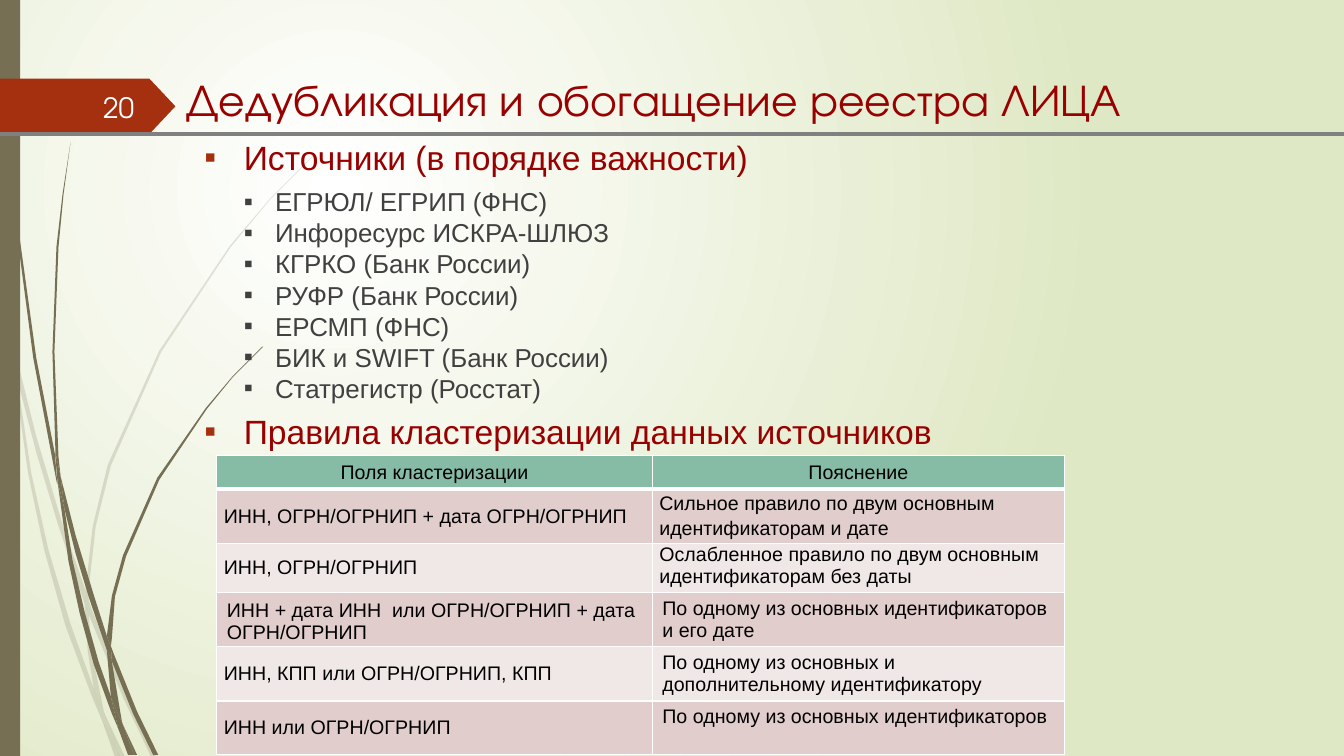
from lxml import etree
from pptx import Presentation
from pptx.dml.color import RGBColor
from pptx.enum.shapes import MSO_CONNECTOR, MSO_SHAPE
from pptx.enum.text import MSO_ANCHOR, PP_ALIGN
from pptx.oxml.ns import qn
from pptx.util import Inches, Pt

WHITE = RGBColor(0xFF, 0xFF, 0xFF)
BLACK = RGBColor(0x00, 0x00, 0x00)
PALE_GREEN = RGBColor(0xDF, 0xE8, 0xC4)
OLIVE = RGBColor(0x76, 0x6F, 0x54)
RUST = RGBColor(0xA5, 0x30, 0x10)
DARK_RED = RGBColor(0x99, 0x00, 0x00)
DARK_GREY = RGBColor(0x40, 0x40, 0x40)
GREY = RGBColor(0x80, 0x80, 0x80)
HEADER_GREEN = RGBColor(0x86, 0xBC, 0xA6)
PINK = RGBColor(0xE1, 0xCD, 0xCC)
PALE_PINK = RGBColor(0xF0, 0xE8, 0xE7)
HEADING_FONT, BODY_FONT = "TeX Gyre Adventor", "Arial"

# Outlines of the grass, piece by piece
FAINT_GRASS = [
    [(.11, 3.5), (.09, 3.22), (0, 2.82), (0, 2.99), (.1, 3.44)],
    [(.58, 5.22), (.84, 5.99), (.85, 5.86), (.62, 5.2), (.36, 4.33), (.14, 3.45), (.17, 3.76),
     (.36, 4.49)],
    [(.92, 6.07), (.88, 5.96), (.88, 6.1), (1.23, 6.94), (1.5, 7.51), (1.55, 7.51), (1.27, 6.92)],
    [(1.19, 7.51), (1.24, 7.51), (1.05, 7.11)],
    [(.93, 6.83), (.7, 6.19), (.48, 5.45), (.31, 4.69), (.17, 3.76), (.11, 3.5), (.28, 4.7),
     (.44, 5.46), (.65, 6.21), (.92, 6.93), (1.01, 7.14), (.99, 7.07)],
    [(.84, 5.99), (.87, 6.46), (.93, 6.83), (.96, 6.92), (1.05, 7.11), (1.03, 7.06), (.91, 6.46),
     (.88, 6.1), (.88, 6.08)],
    [(.88, 5.84), (.95, 5.22), (1.1, 4.62), (1.6, 3.49), (2.29, 2.45), (2.68, 1.98), (3.12, 1.54),
     (3.12, 1.53), (2.68, 1.97), (2.28, 2.44), (1.58, 3.48), (1.07, 4.61), (.92, 5.22),
     (.85, 5.84), (.85, 5.86), (.88, 5.96)],
    [(1.01, 7.14), (1.14, 7.51), (1.19, 7.51)],
    [(.88, 6.08), (.88, 6.1), (.88, 5.96), (.85, 5.86), (.84, 5.99)],
    [(.96, 6.92), (.93, 6.83), (.99, 7.07), (1.01, 7.14), (1.19, 7.51), (1.05, 7.11)],
]
SOLID_GRASS = [
    [(.07, 1.1), (.17, 2.33), (.33, 3.55), (.56, 4.77), (.57, 4.81), (.55, 4.57), (.55, 4.53),
     (.36, 3.55), (.19, 2.32), (.08, 1.09), (.05, .48), (.04, 0), (.03, 0), (.04, .48)],
    [(.88, 5.92), (1.06, 6.45), (1.06, 6.33), (1.06, 6.31), (.93, 5.9), (.75, 5.31), (.6, 4.72),
     (.64, 5.05), (.75, 5.49)],
    [(1.13, 6.49), (1.1, 6.41), (1.11, 6.56), (1.32, 7.08), (1.52, 7.49), (1.57, 7.49),
     (1.36, 7.06)],
    [(1.1, 6.91), (.98, 6.57), (.84, 6.07), (.72, 5.56), (.64, 5.05), (.57, 4.77), (.68, 5.57),
     (.79, 6.08), (.93, 6.59), (1.11, 7.08), (1.17, 7.22), (1.16, 7.17)],
    [(.6, 4.72), (.58, 4.53), (.54, 3.49), (.58, 2.45), (.63, 1.93), (.7, 1.41), (.62, 1.93),
     (.56, 2.45), (.52, 3.49), (.55, 4.49)],
    [(1.33, 7.49), (1.36, 7.49), (1.22, 7.19)],
    [(.57, 4.77), (.64, 5.05), (.6, 4.72), (.55, 4.49), (.55, 4.53)],
    [(1.11, 6.33), (1.14, 5.92), (1.25, 5.52), (1.58, 4.76), (2.05, 4.06), (2.31, 3.74),
     (2.61, 3.44), (2.6, 3.44), (2.31, 3.73), (2.04, 4.05), (1.56, 4.74), (1.22, 5.51),
     (1.11, 5.91), (1.06, 6.31), (1.1, 6.41)],
    [(1.17, 7.22), (1.27, 7.49), (1.31, 7.49)],
    [(1.06, 6.45), (1.1, 6.91), (1.16, 7.06), (1.22, 7.19), (1.21, 7.16), (1.11, 6.56),
     (1.09, 6.51)],
    [(1.06, 6.45), (1.09, 6.51), (1.11, 6.56), (1.1, 6.41), (1.06, 6.31), (1.06, 6.33)],
    [(1.16, 7.06), (1.1, 6.91), (1.16, 7.17), (1.17, 7.22), (1.3, 7.49), (1.33, 7.49),
     (1.22, 7.19)],
]

SOURCES = ["ЕГРЮЛ/ ЕГРИП (ФНС)", "Инфоресурс ИСКРА-ШЛЮЗ", "КГРКО (Банк России)",
           "РУФР (Банк России)", "ЕРСМП (ФНС)", "БИК и SWIFT (Банк России)",
           "Статрегистр (Росстат)"]
RULES = [
    ("Поля кластеризации", "Пояснение"),
    ("ИНН, ОГРН/ОГРНИП + дата ОГРН/ОГРНИП",
     "Сильное правило по двум основным идентификаторам и дате"),
    ("ИНН, ОГРН/ОГРНИП", "Ослабленное правило по двум основным идентификаторам без даты"),
    ("ИНН + дата ИНН  или ОГРН/ОГРНИП + дата ОГРН/ОГРНИП",
     "По одному из основных идентификаторов и его дате"),
    ("ИНН, КПП или ОГРН/ОГРНИП, КПП", "По одному из основных и дополнительному идентификатору"),
    ("ИНН или ОГРН/ОГРНИП", "По одному из основных идентификаторов"),
]
ROW_HEIGHTS = [.32, .53, .49, .53, .53, .53]
TIGHT_CELLS = {(1, 0), (1, 1), (2, 0), (2, 1), (4, 0), (5, 0)}


def write(paragraph, text, size, color, font=BODY_FONT, align=PP_ALIGN.LEFT,
          line=None, before=0, after=0, bullet=None, left=0, hang=0):
    run = paragraph.add_run()
    run.text = text
    run.font.size, run.font.name, run.font.color.rgb = Pt(size), font, color
    paragraph.alignment, paragraph.line_spacing = align, line
    paragraph.space_before, paragraph.space_after = Pt(before), Pt(after)
    if bullet:
        props = paragraph._p.get_or_add_pPr()
        props.set("marL", str(Inches(left)))
        props.set("indent", str(-Inches(hang)))
        tint = etree.SubElement(props, qn("a:buClr"))
        etree.SubElement(tint, qn("a:srgbClr"), val=str(bullet))
        etree.SubElement(props, qn("a:buFont"), typeface=BODY_FONT)
        etree.SubElement(props, qn("a:buChar"), char="▪")


def paint(shape, color, opacity=100):
    shape.shadow.inherit = False
    shape.fill.solid()
    shape.fill.fore_color.rgb = color
    shape.line.fill.background()
    if opacity < 100:
        tint = shape._element.spPr.find(".//" + qn("a:srgbClr"))
        etree.SubElement(tint, qn("a:alpha"), val=str(opacity * 1000))


def add_backdrop(slide, height):
    # Radial glow centred in the upper left
    fill = slide.background.fill
    fill.gradient()
    for stop, color in zip(fill.gradient_stops, (WHITE, PALE_GREEN)):
        stop.color.rgb = color
    gradient = slide._element.find(".//" + qn("a:gradFill"))
    glow = etree.Element(qn("a:path"))
    glow.set("path", "circle")
    etree.SubElement(glow, qn("a:fillToRect"), l="50000", t="50000", r="100000", b="100000")
    gradient.replace(gradient.find(qn("a:lin")), glow)

    # Grass and side bar
    for grass, opacity in ((FAINT_GRASS, 20), (SOLID_GRASS, 100)):
        for outline in grass:
            start, *rest = [(Inches(x), Inches(y)) for x, y in outline]
            builder = slide.shapes.build_freeform(*start)
            builder.add_line_segments(rest)
            paint(builder.convert_to_shape(), OLIVE, opacity)
    paint(slide.shapes.add_shape(MSO_SHAPE.RECTANGLE, 0, 0, Inches(.2), Inches(height)), OLIVE)


def add_text_box(slide, left, top, width, height, anchor=MSO_ANCHOR.TOP):
    frame = slide.shapes.add_textbox(*map(Inches, (left, top, width, height))).text_frame
    frame.word_wrap, frame.vertical_anchor = True, anchor
    return frame


def add_heading(slide, left, top, width, height):
    # Page number tag
    tag = slide.shapes.add_shape(MSO_SHAPE.PENTAGON, 0, Inches(top + .06),
                                 Inches(left - .01), Inches(.55))
    tag.adjustments[0] = .47
    paint(tag, RUST)
    number = add_text_box(slide, left - 1.17, top + .14, .85, .4, MSO_ANCHOR.MIDDLE)
    write(number.paragraphs[0], "20", 20, WHITE, HEADING_FONT, PP_ALIGN.RIGHT)

    # Title
    title = slide.shapes.title
    title.left, title.top, title.width, title.height = map(Inches, (left, top, width, height))
    title.text_frame.vertical_anchor = MSO_ANCHOR.TOP
    write(title.text_frame.paragraphs[0], "Дедубликация и обогащение реестра ЛИЦА", 32,
          DARK_RED, HEADING_FONT, line=.9, before=3)


def add_sources(slide, left, top, width, height):
    frame = add_text_box(slide, left, top, width, height)
    section = dict(size=24, color=DARK_RED, line=.8, after=6, bullet=RUST, left=.89, hang=.39)
    write(frame.paragraphs[0], "Источники (в порядке важности)", before=2, **section)
    for source in SOURCES:
        write(frame.add_paragraph(), source, 18.5, DARK_GREY,
              bullet=DARK_GREY, left=1.2, hang=.31)
    write(frame.add_paragraph(), "Правила кластеризации данных источников", before=11, **section)


def add_borders(cell, bottom):
    props = cell._tc.get_or_add_tcPr()
    for index, (side, weight) in enumerate((("L", 1), ("R", 1), ("T", 1), ("B", bottom))):
        edge = etree.Element(qn("a:ln" + side), w=str(Pt(weight)))
        solid = etree.SubElement(edge, qn("a:solidFill"))
        etree.SubElement(solid, qn("a:srgbClr"), val=str(WHITE))
        props.insert(index, edge)


def add_rules(slide, left, top, width, height):
    table = slide.shapes.add_table(len(RULES), 2, *map(Inches, (left, top, width, height))).table
    table.columns[0].width, table.columns[1].width = Inches(4.32), Inches(width - 4.32)
    for r, (row, row_height) in enumerate(zip(RULES, ROW_HEIGHTS)):
        table.rows[r].height = Inches(row_height)
        for c, text in enumerate(row):
            cell = table.cell(r, c)
            cell.fill.solid()
            cell.fill.fore_color.rgb = HEADER_GREEN if r == 0 else PINK if r % 2 else PALE_PINK
            cell.vertical_anchor = MSO_ANCHOR.TOP if r and c else MSO_ANCHOR.MIDDLE
            cell.margin_bottom = Inches(.02 if r else .05)
            if (r, c) in TIGHT_CELLS:
                cell.margin_left = cell.margin_right = Inches(.07)
                cell.margin_top = cell.margin_bottom = 0
            spacing = dict(line=1.15, before=4, after=10) if (r, c) == (1, 1) else {}
            write(cell.text_frame.paragraphs[0], text, 14, BLACK,
                  align=PP_ALIGN.LEFT if r else PP_ALIGN.CENTER, **spacing)
            cell.text_frame.paragraphs[0].runs[0].font.bold = False
            add_borders(cell, bottom=1 if r else 3)


def add_divider(slide, width, y):
    divider = slide.shapes.add_connector(MSO_CONNECTOR.STRAIGHT, 0, Inches(y),
                                         Inches(width), Inches(y))
    divider.line.color.rgb, divider.line.width = GREY, Pt(3)
    etree.SubElement(divider._element.spPr, qn("a:effectLst"))


def main():
    deck = Presentation()
    deck.slide_width, deck.slide_height = Inches(13.33), Inches(7.5)
    slide = deck.slides.add_slide(deck.slide_layouts[5])
    add_backdrop(slide, 7.5)
    add_heading(slide, 1.75, .72, 11.41, .54)
    add_sources(slide, 1.43, 1.39, 8.57, 3.12)
    add_rules(slide, 2.15, 4.52, 8.41, sum(ROW_HEIGHTS))
    add_divider(slide, 13.33, 1.33)
    deck.save("out.pptx")


if __name__ == "__main__":
    main()
